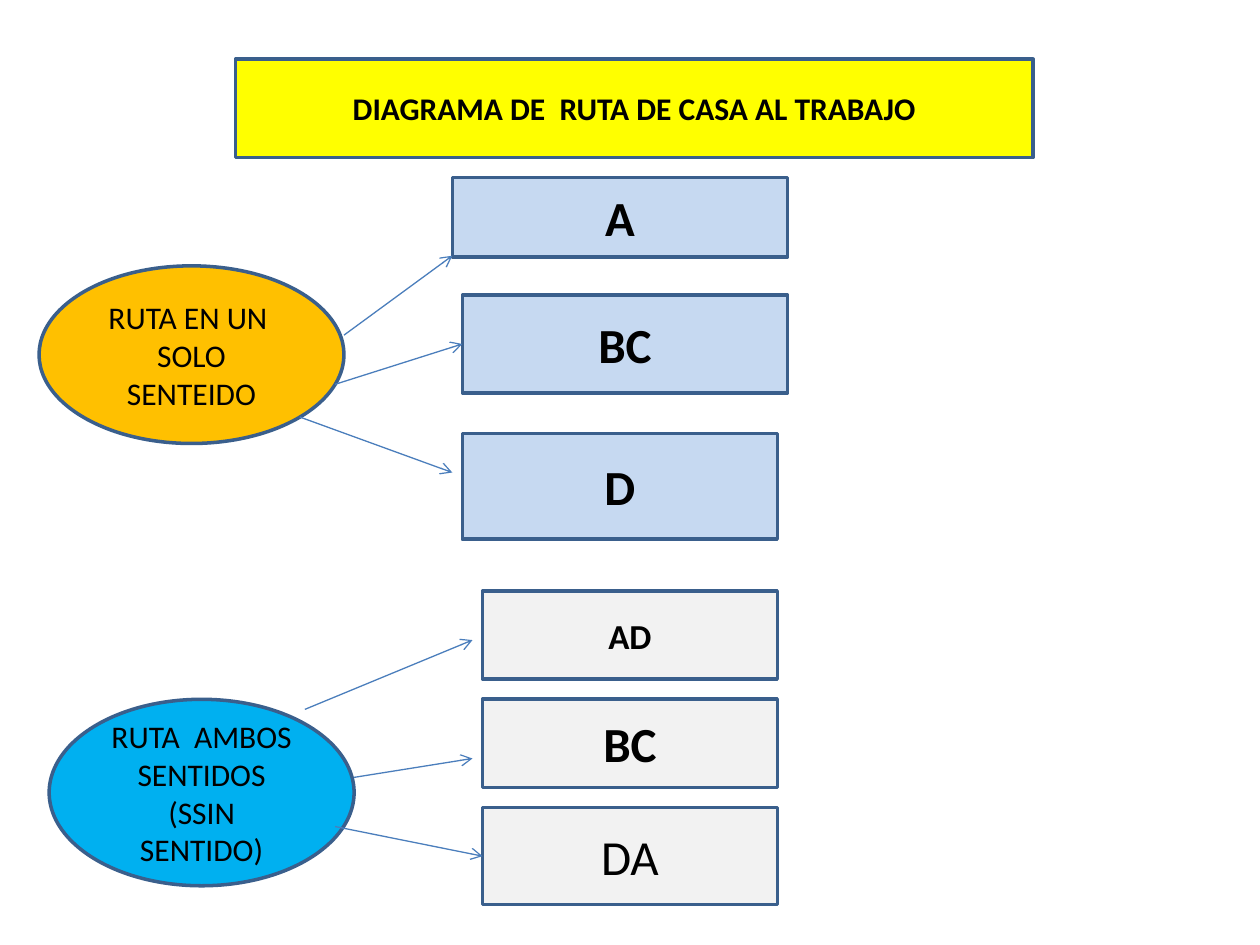
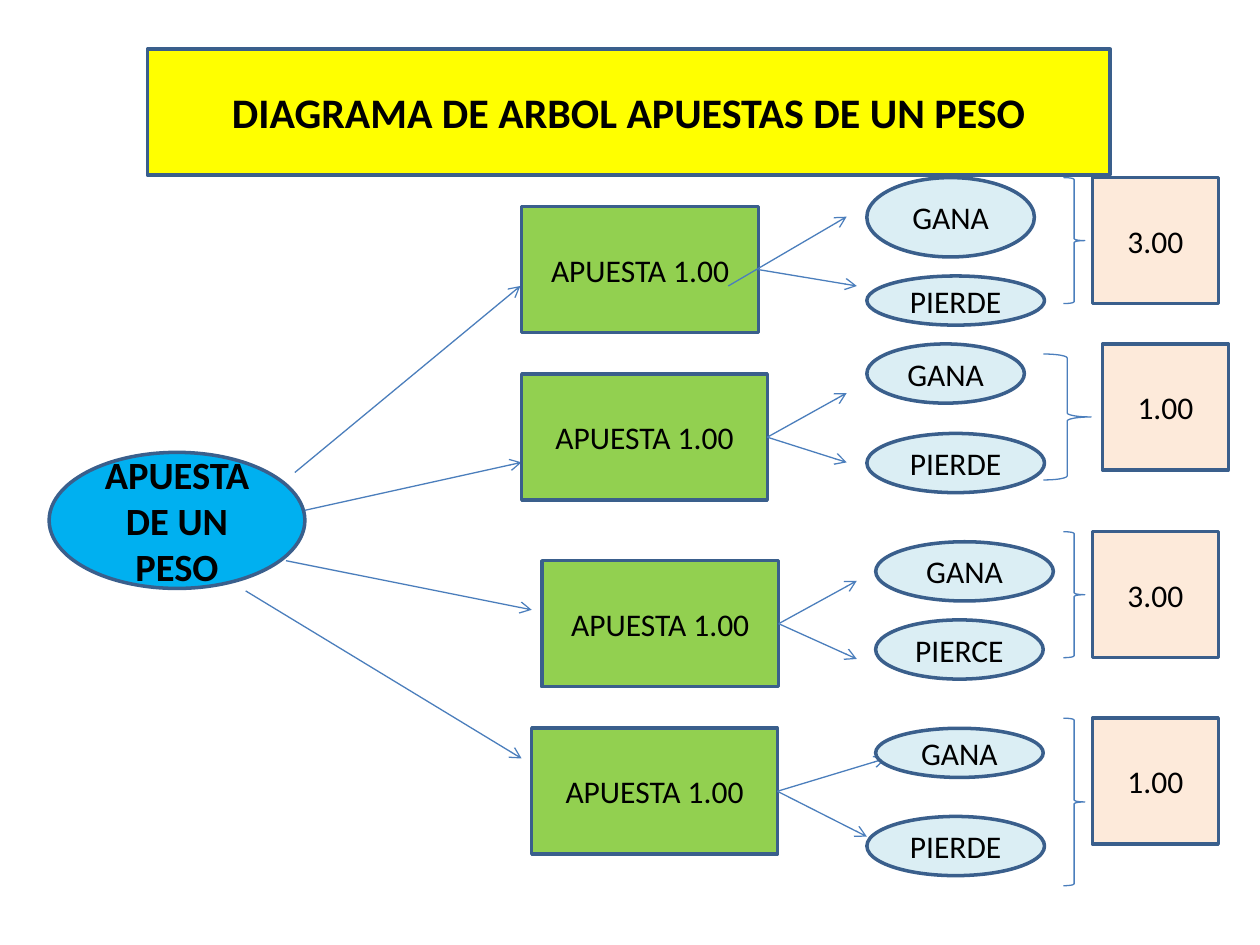
from lxml import etree
from pptx import Presentation
from pptx.dml.color import RGBColor
from pptx.enum.shapes import MSO_CONNECTOR, MSO_SHAPE
from pptx.enum.text import MSO_ANCHOR, PP_ALIGN
from pptx.oxml.ns import qn
from pptx.util import Inches, Pt

RECT = MSO_SHAPE.RECTANGLE
OVAL = MSO_SHAPE.OVAL
BRACE = MSO_SHAPE.RIGHT_BRACE
STRAIGHT = MSO_CONNECTOR.STRAIGHT
CENTER = PP_ALIGN.CENTER
MIDDLE = MSO_ANCHOR.MIDDLE
LEFT_SIDE, RIGHT_SIDE = 1, 3

FONT = "Calibri"
COLORS = {
    "title": "FFFF00", "one_way": "FFC000", "root": "00B0F0",
    "one_way_route": "C6D9F1", "two_way_route": "F2F2F2",
    "bet": "92D050", "outcome": "DBEEF4", "payout": "FDEADA",
    "border": "3A5F8C", "arrow": "4B7EBC", "text": "000000",
}


def rgb(name):
    return RGBColor.from_string(COLORS[name])


class Diagram:
    def __init__(self):
        self.deck = Presentation()
        self.deck.slide_width = Inches(10)
        self.deck.slide_height = Inches(7.5)
        self.slide = None

    def new_slide(self):
        self.slide = self.deck.slides.add_slide(self.deck.slide_layouts[6])

    def node(self, kind, at, text, fill, size=18, bold=False):
        node = self.slide.shapes.add_shape(kind, *map(Inches, at))
        node.shadow.inherit = False
        node.fill.solid()
        node.fill.fore_color.rgb = rgb(fill)
        node.line.color.rgb = rgb("border")
        node.line.width = Pt(2)
        frame = node.text_frame
        frame.word_wrap = True
        frame.vertical_anchor = MIDDLE
        paragraph = frame.paragraphs[0]
        paragraph.text = text
        paragraph.alignment = CENTER
        font = paragraph.font
        font.name, font.size, font.bold = FONT, Pt(size), bold
        font.color.rgb = rgb("text")
        return node

    def title(self, at, text, size):
        self.node(RECT, at, text, "title", size, True)

    def arrow(self, start, end, source=None, target=None):
        """Draw an arrow, joined to the side of a source or target box if given."""
        arrow = self.slide.shapes.add_connector(STRAIGHT, *map(Inches, (*start, *end)))
        if source is not None:
            arrow.begin_connect(source, RIGHT_SIDE)
        if target is not None:
            arrow.end_connect(target, LEFT_SIDE)
        arrow.line.color.rgb = rgb("arrow")
        arrow.line.width = Pt(0.75)
        etree.SubElement(arrow.line._get_or_add_ln(), qn("a:tailEnd"), type="arrow")
        etree.SubElement(arrow._element.spPr, qn("a:effectLst"))

    def brace(self, at):
        brace = self.slide.shapes.add_shape(BRACE, *map(Inches, at))
        brace.shadow.inherit = False
        brace.fill.background()
        brace.line.color.rgb = rgb("arrow")
        brace.line.width = Pt(0.75)

    def save(self):
        self.deck.save("out.pptx")


def build_routes(diagram):
    diagram.new_slide()
    diagram.title((1.87, 0.47, 6.33, 0.78), "DIAGRAMA DE  RUTA DE CASA AL TRABAJO", 18)

    # Route types
    diagram.node(OVAL, (0.31, 2.11, 2.42, 1.41), "RUTA EN UN  SOLO SENTEIDO", "one_way")
    diagram.node(OVAL, (0.39, 5.55, 2.42, 1.48),
                 "RUTA  AMBOS SENTIDOS (SSIN SENTIDO)", "root")

    # Routes: box, label, fill, size, bold, arrow start, arrow end, joined
    one_way, two_way = "one_way_route", "two_way_route"
    routes = [
        ((3.59, 1.41, 2.66, 0.63), "A", one_way, 28, True, (2.73, 2.66), (3.59, 2.03), False),
        ((3.67, 2.34, 2.58, 0.78), "BC", one_way, 28, True, (2.66, 3.05), (3.67, 2.73), True),
        ((3.67, 3.44, 2.5, 0.84), "D", one_way, 28, True, (2.38, 3.31), (3.59, 3.75), False),
        ((3.83, 4.69, 2.34, 0.7), "AD", two_way, 20, True, (2.42, 5.63), (3.75, 5.08), False),
        ((3.83, 5.55, 2.34, 0.7), "BC", two_way, 28, True, (2.81, 6.17), (3.75, 6.02), False),
        ((3.83, 6.41, 2.34, 0.77), "DA", two_way, 28, False, (2.66, 6.56), (3.83, 6.79), True),
    ]
    for at, label, fill, size, bold, start, end, joined in routes:
        route = diagram.node(RECT, at, label, fill, size, bold)
        diagram.arrow(start, end, target=route if joined else None)


def build_bets(diagram):
    diagram.new_slide()
    diagram.title((1.17, 0.39, 7.64, 1), "DIAGRAMA DE ARBOL APUESTAS DE UN PESO", 24)
    diagram.node(OVAL, (0.39, 3.59, 2.03, 1.08), "APUESTA DE UN PESO", "root", 22, True)

    # Bets: left, top, width, arrow start, arrow end
    bets = [
        (4.14, 1.64, 1.88, (2.34, 3.75), (4.13, 2.27)),
        (4.14, 2.97, 1.95, (2.42, 4.05), (4.14, 3.67)),
        (4.3, 4.45, 1.88, (2.27, 4.45), (4.22, 4.84)),
        (4.22, 5.78, 1.95, (1.95, 4.69), (4.14, 6.02)),
    ]
    bet_boxes = []
    for left, top, width, start, end in bets:
        diagram.arrow(start, end)
        bet_boxes.append(
            diagram.node(RECT, (left, top, width, 1), "APUESTA 1.00", "bet"))

    # Outcomes: bet index, arrow end, oval, label
    outcomes = [
        (0, (6.72, 1.72), (6.88, 1.41, 1.33, 0.63), "GANA"),
        (0, (6.8, 2.27), (6.88, 2.19, 1.41, 0.39), "PIERDE"),
        (1, (6.72, 3.12), (6.88, 2.73, 1.25, 0.47), "GANA"),
        (1, (6.72, 3.67), (6.88, 3.44, 1.41, 0.47), "PIERDE"),
        (2, (6.8, 4.61), (6.95, 4.3, 1.41, 0.47), "GANA"),
        (2, (6.8, 5.23), (6.95, 4.92, 1.33, 0.47), "PIERCE"),
        (3, (7.03, 6.02), (6.95, 5.78, 1.33, 0.39), "GANA"),
        (3, (6.88, 6.64), (6.88, 6.48, 1.41, 0.47), "PIERDE"),
    ]
    for position, (bet, end, at, label) in enumerate(outcomes):
        # The first arrow starts inside its bet; the others leave from the side
        source = bet_boxes[bet] if position else None
        diagram.arrow((5.78, 2.27), end, source=source)
        diagram.node(OVAL, at, label, "outcome")

    # Payouts: brace, left, top, amount
    payouts = [
        ((8.44, 1.41, 0.17, 1), 8.67, 1.41, "3.00"),
        ((8.28, 2.81, 0.38, 1), 8.75, 2.73, "1.00"),
        ((8.44, 4.22, 0.17, 1), 8.67, 4.22, "3.00"),
        ((8.44, 5.7, 0.17, 1.33), 8.67, 5.7, "1.00"),
    ]
    for brace_at, left, top, amount in payouts:
        diagram.brace(brace_at)
        diagram.node(RECT, (left, top, 1, 1), amount, "payout")


def main():
    diagram = Diagram()
    build_routes(diagram)
    build_bets(diagram)
    diagram.save()


if __name__ == "__main__":
    main()
